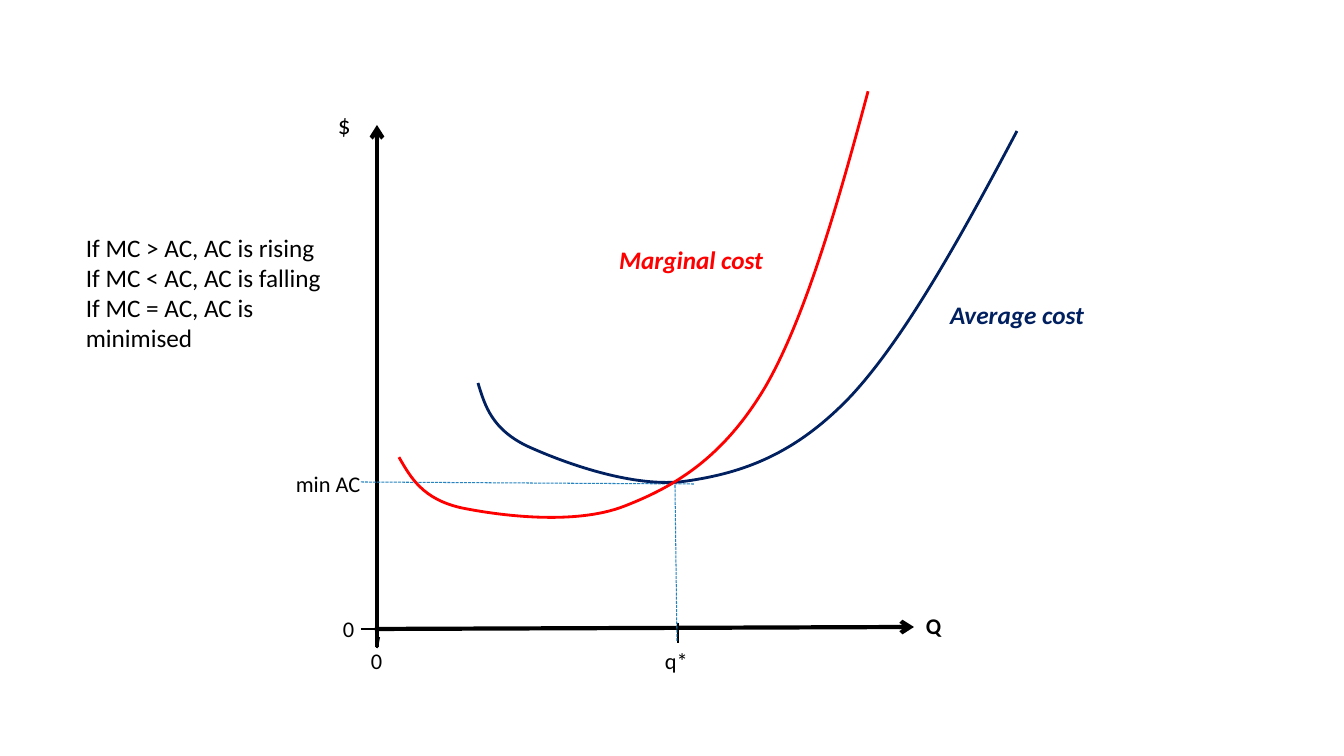
from lxml.etree import SubElement
from pptx import Presentation
from pptx.dml.color import RGBColor
from pptx.enum.dml import MSO_LINE
from pptx.enum.shapes import MSO_CONNECTOR
from pptx.enum.text import MSO_AUTO_SIZE, PP_ALIGN
from pptx.oxml.ns import qn
from pptx.util import Pt

WIDTH, HEIGHT = 1344, 756
SCALE = 12192000 / WIDTH
BLACK, NAVY, RED, BLUE = "000000", "002060", "FF0000", "2683BF"

# Both cost curves share one outline, measured from the corner of its box.
CURVE_START = (0, 252)
CURVE_SEGMENTS = (
    ((7, 275), (14, 298), (49, 315)),
    ((84, 331), (156, 358), (209, 350)),
    ((264, 342), (317, 324), (373, 265)),
    ((427, 207), (484, 104), (539, 0)),
)


def emu(px):
    return round(px * SCALE)


def colour(code):
    return RGBColor.from_string(code)


class CostDiagram:
    font = "Calibri"

    def __init__(self, page):
        self.shapes = page.shapes

    def text(self, left, top, width, height, content, size=16, code=BLACK,
             bold=False, italic=False, align=PP_ALIGN.LEFT):
        box = self.shapes.add_textbox(*map(emu, (left, top, width, height)))
        frame = box.text_frame
        frame.text = content
        frame.word_wrap = True
        frame.auto_size = MSO_AUTO_SIZE.SHAPE_TO_FIT_TEXT
        for para in frame.paragraphs:
            para.alignment = align
            for span in para.runs:
                span.font.name = self.font
                span.font.size = Pt(size)
                span.font.bold = bold
                span.font.italic = italic
                span.font.color.rgb = colour(code)

    def curve_label(self, left, top, content, code):
        self.text(left, top, 182, 40, content, 18, code, True, True, PP_ALIGN.CENTER)

    def line(self, start, end, width=1.5, code=BLACK):
        connector = self.shapes.add_connector(
            MSO_CONNECTOR.STRAIGHT, *map(emu, (*start, *end)))
        connector.line.width = Pt(width)
        connector.line.color.rgb = colour(code)
        SubElement(connector._element.spPr, qn("a:effectLst"))
        return connector

    def axis(self, tip, base):
        connector = self.line(tip, base, 3)
        SubElement(connector.line._get_or_add_ln(), qn("a:headEnd"), type="arrow")

    def guide(self, start, end):
        self.line(start, end, 0.75, BLUE).line.dash_style = MSO_LINE.SQUARE_DOT

    def curve(self, left, top, code, rotation=0):
        """Draw the cost outline, bending each straight segment into a cubic."""
        start, *ends = [(emu(left + x), emu(top + y)) for x, y in
                        (CURVE_START, *(segment[-1] for segment in CURVE_SEGMENTS))]
        builder = self.shapes.build_freeform(*start)
        builder.add_line_segments(ends, close=False)
        shape = builder.convert_to_shape()
        straights = list(shape._element.iter(qn("a:lnTo")))
        for straight, segment in zip(straights, CURVE_SEGMENTS):
            outline = straight.getparent()
            cubic = SubElement(outline, qn("a:cubicBezTo"))
            for x, y in segment:
                SubElement(cubic, qn("a:pt"), x=str(emu(x)), y=str(emu(y)))
            outline.replace(straight, cubic)
        shape.rotation = rotation
        shape.shadow.inherit = False
        shape.fill.background()
        shape.line.width = Pt(2)
        shape.line.color.rgb = colour(code)


def main():
    deck = Presentation()
    deck.slide_width, deck.slide_height = emu(WIDTH), emu(HEIGHT)
    diagram = CostDiagram(deck.slides.add_slide(deck.slide_layouts[6]))

    diagram.axis((377, 125), (377, 647))
    diagram.axis((914, 627), (375, 629))
    for start, end in (((377, 648), (379, 637)),
                       ((361, 629), (379, 629)),
                       ((678, 623), (678, 643))):
        diagram.line(start, end)

    diagram.text(328, 104, 33, 40, "$", 18)
    for left, top, width, label in ((361, 642, 43, "0"), (333, 610, 28, "0"),
                                    (286, 465, 93, "min AC"), (655, 642, 77, "q*")):
        diagram.text(left, top, width, 37, label)
    diagram.text(916, 607, 128, 37, "Q", bold=True)

    diagram.guide((677, 641), (675, 483))
    diagram.guide((694, 484), (361, 482))

    diagram.curve(478, 131, NAVY)
    diagram.curve(375, 147, RED, 347.1)
    diagram.curve_label(929, 294, "Average cost ", NAVY)
    diagram.curve_label(603, 239, "Marginal cost ", RED)

    diagram.text(76, 227, 284, 132, "If MC > AC, AC is rising\n"
                 "If MC < AC, AC is falling\nIf MC = AC, AC is minimised", 18)
    deck.save("out.pptx")


if __name__ == "__main__":
    main()
